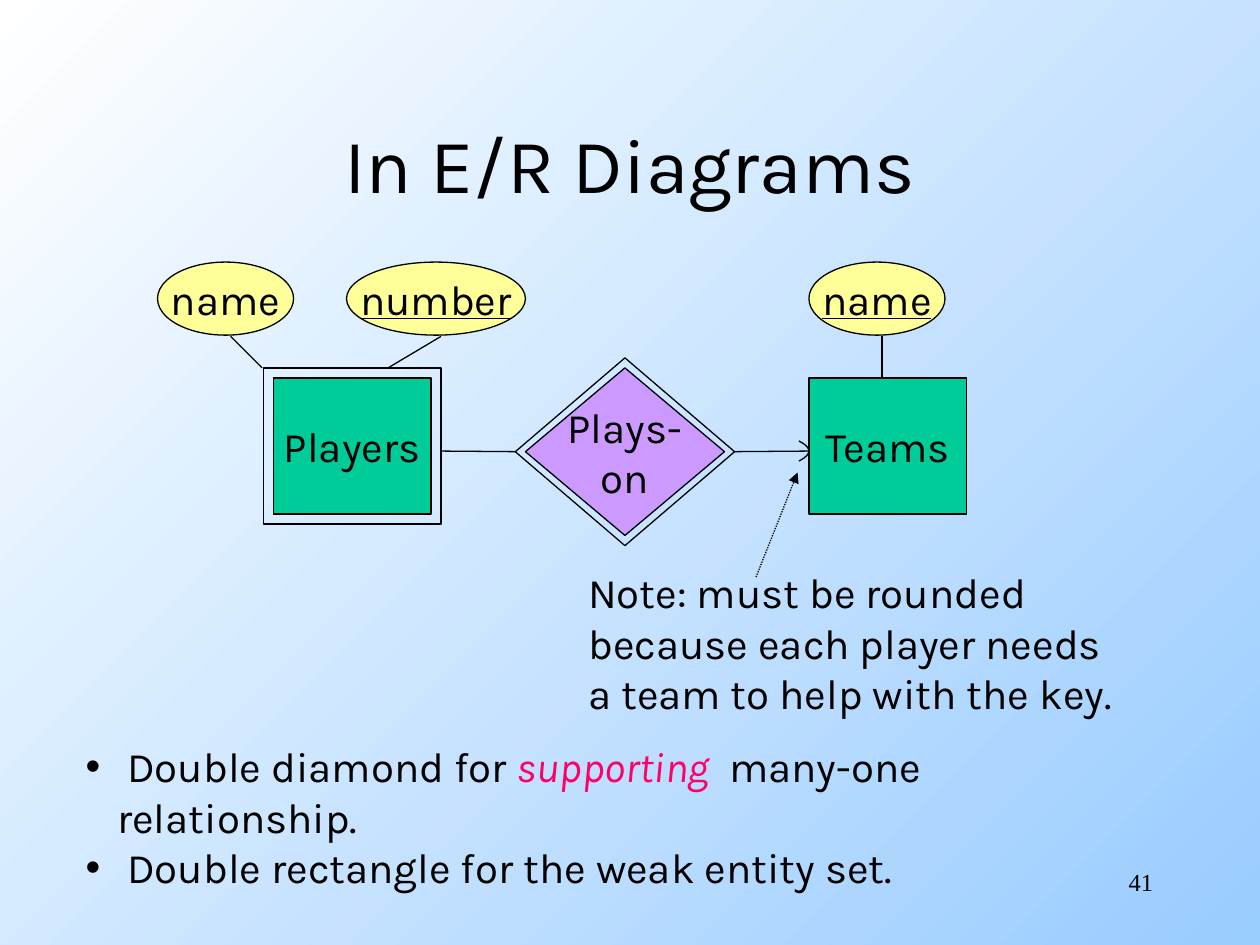
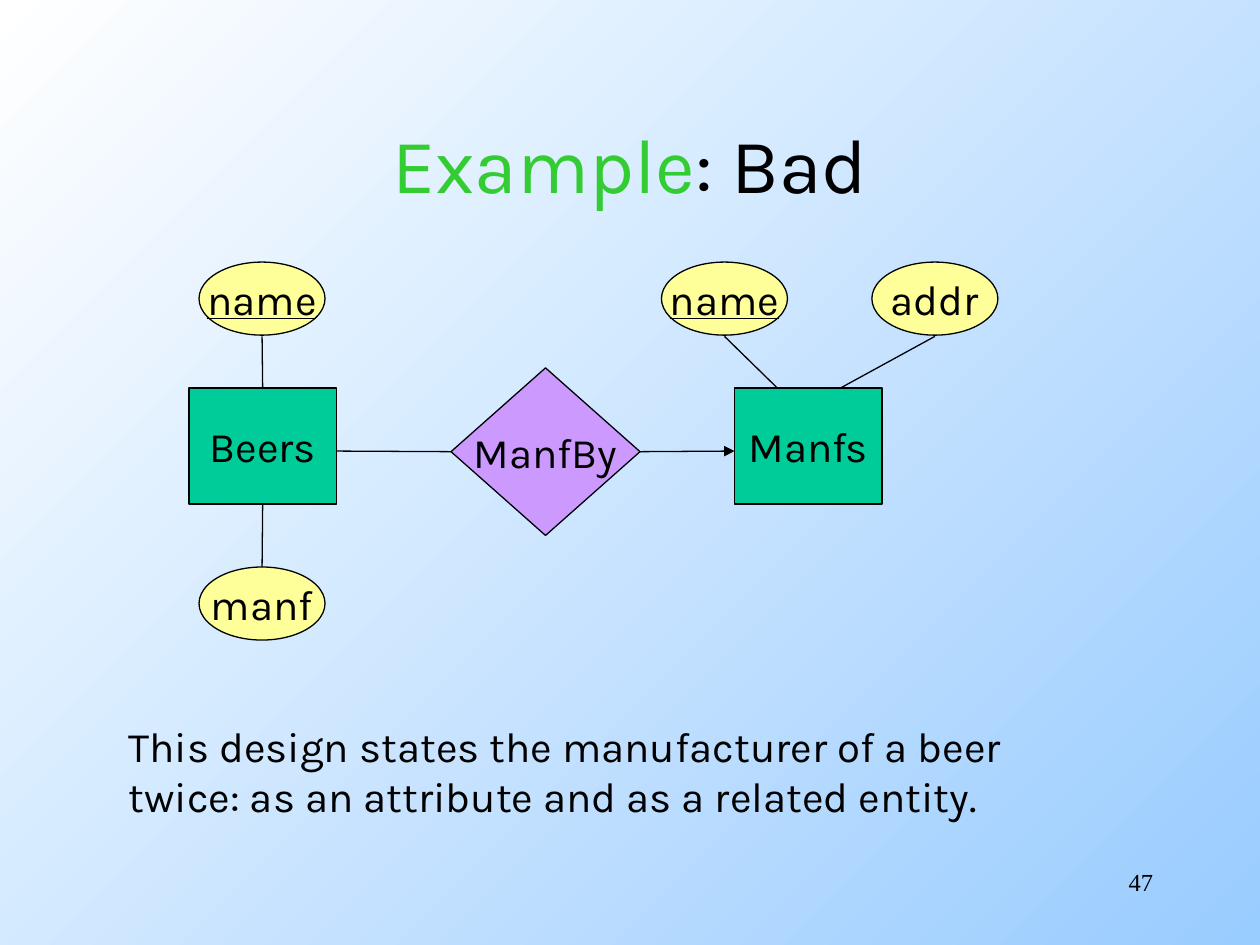
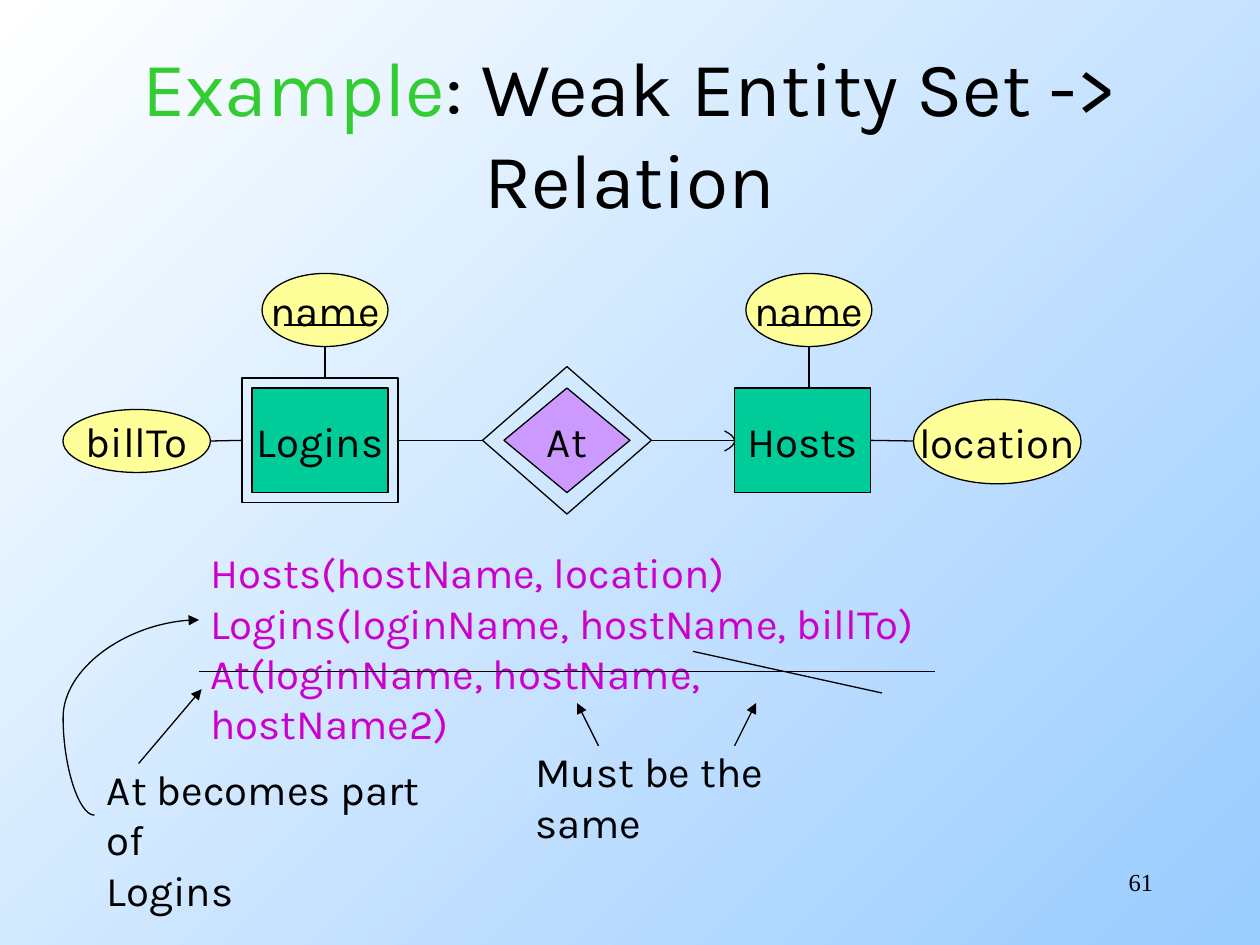
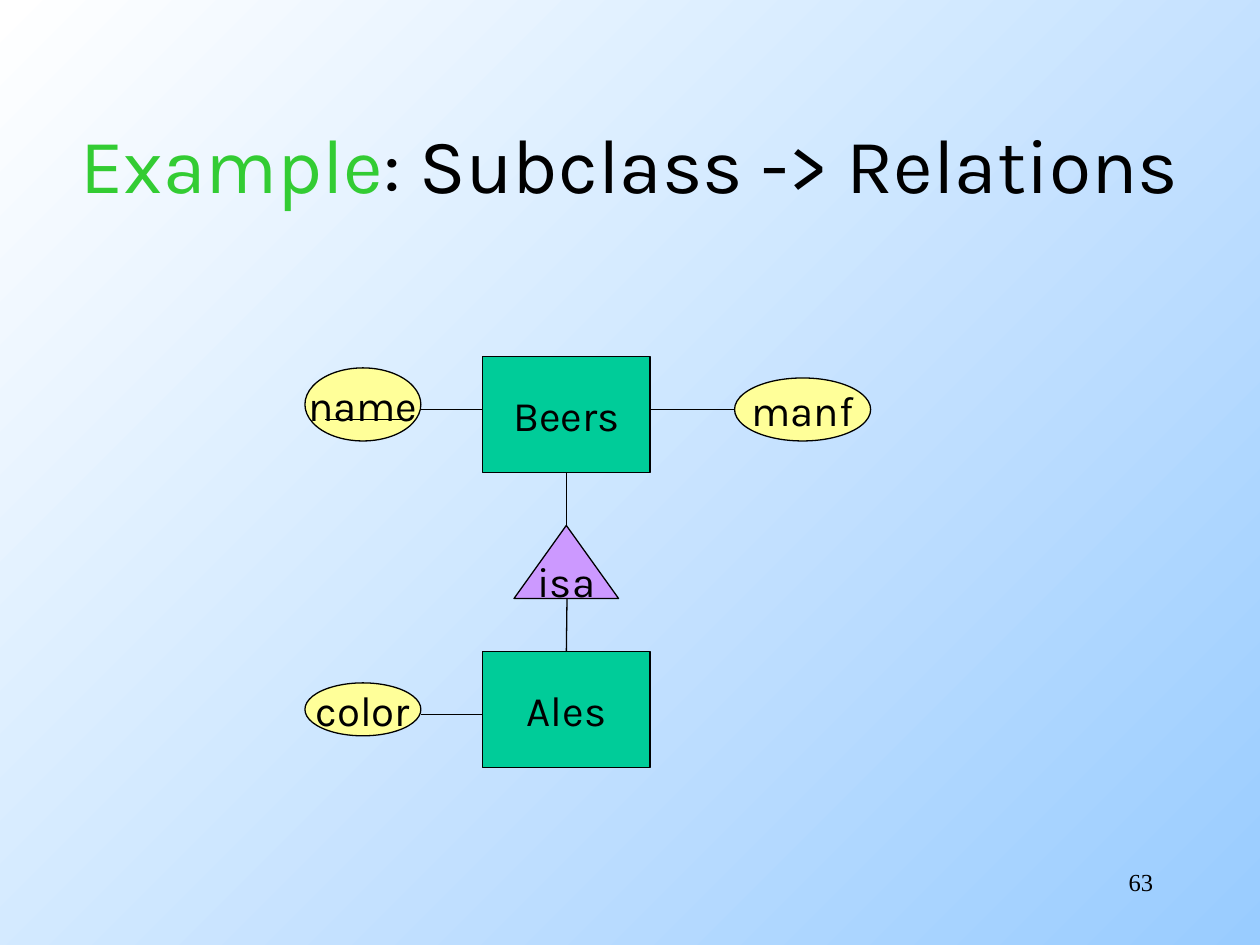
from dataclasses import dataclass

from lxml import etree
from pptx import Presentation
from pptx import util as u
from pptx.dml.color import RGBColor
from pptx.enum import dml, shapes, text
from pptx.oxml.ns import qn


@dataclass(frozen=True)
class Theme:
    ink: str = "000000"
    entity: str = "00CC99"
    relationship: str = "CC99FF"
    attribute: str = "FFFF99"
    example: str = "33CC33"
    emphasis: str = "FF0066"
    schema: str = "CC00CC"
    background_start: str = "FFFFFF"
    background_end: str = "99CCFF"
    font: str = "Karla"
    number_font: str = "Times New Roman"
    title_size: int = 44
    text_size: int = 24
    number_size: int = 14
    line_width: float = 0.75


THEME = Theme()
EXAMPLE = ("Example", {"color": THEME.example})
TOP, LEFT, BOTTOM, RIGHT = range(4)
LAYOUT_LIST, LAYOUT_TITLE_ONLY = 1, 5
PRESET = shapes.MSO_SHAPE
ALIGN = text.PP_ALIGN


def rgb(color):
    return RGBColor.from_string(color)


def add_bullet(paragraph, indent=0.25):
    properties = paragraph._p.get_or_add_pPr()
    properties.set("marL", str(u.Inches(indent)))
    properties.set("indent", str(-u.Inches(indent)))
    etree.SubElement(properties, qn("a:buChar"), char="•")


def write(frame, lines, *, size=THEME.text_size, font=THEME.font, color=THEME.ink,
          align=ALIGN.LEFT, anchor=text.MSO_ANCHOR.TOP, wrap=True,
          underline=False, bullets=False):
    frame.auto_size = text.MSO_AUTO_SIZE.NONE
    frame.word_wrap = wrap
    frame.vertical_anchor = anchor
    for index, line in enumerate(lines):
        paragraph = frame.add_paragraph() if index else frame.paragraphs[0]
        paragraph.alignment = align
        paragraph.space_before = u.Pt(0)
        if bullets:
            add_bullet(paragraph)
        for piece in [line] if isinstance(line, str) else line:
            words, changes = (piece, {}) if isinstance(piece, str) else piece
            run = paragraph.add_run()
            run.text = words
            run.font.name = font
            run.font.size = u.Pt(size)
            run.font.underline = underline
            run.font.italic = changes.get("italic", False)
            run.font.color.rgb = rgb(changes.get("color", color))


def place(shape, left, top, width, height):
    shape.left, shape.top = u.Inches(left), u.Inches(top)
    shape.width, shape.height = u.Inches(width), u.Inches(height)


def style_outline(shape):
    shape.line.color.rgb = rgb(THEME.ink)
    shape.line.width = u.Pt(THEME.line_width)


class Region:
    def __init__(self, slide, left, top):
        self.slide, self.left, self.top = slide, left, top

    def point(self, x, y):
        return u.Inches(self.left + x), u.Inches(self.top + y)

    def text(self, lines, left, top, width, height, **formats):
        box = self.slide.shapes.add_textbox(
            *self.point(left, top), u.Inches(width), u.Inches(height))
        write(box.text_frame, lines, **formats)

    def node(self, preset, fill, lines, left, top, width, height, underline=False):
        shape = self.slide.shapes.add_shape(
            preset, *self.point(left, top), u.Inches(width), u.Inches(height))
        shape.shadow.inherit = False
        style_outline(shape)
        if fill:
            shape.fill.solid()
            shape.fill.fore_color.rgb = rgb(fill)
            write(shape.text_frame, lines, align=ALIGN.CENTER, wrap=False,
                  anchor=text.MSO_ANCHOR.MIDDLE, underline=underline)
        else:
            shape.fill.background()
        return shape

    def border(self, preset, left, top, width, height, gap):
        return self.node(preset, None, [], left - gap, top - gap,
                         width + 2 * gap, height + 2 * gap)

    def entity(self, name, *box):
        return self.node(PRESET.RECTANGLE, THEME.entity, [name], *box)

    def weak_entity(self, name, *box):
        self.entity(name, *box)
        return self.border(PRESET.RECTANGLE, *box, gap=0.08)

    def relationship(self, lines, *box):
        return self.node(PRESET.DIAMOND, THEME.relationship, lines, *box)

    def supporting_relationship(self, lines, *box, gap):
        self.relationship(lines, *box)
        return self.border(PRESET.DIAMOND, *box, gap=gap)

    def attribute(self, name, left, top, width=1, height=0.58, key=False):
        return self.node(PRESET.OVAL, THEME.attribute, [name],
                         left, top, width, height, underline=key)

    def line(self, begin, end, arrow=False, dotted=False, kind=shapes.MSO_CONNECTOR.STRAIGHT):
        joined = [not isinstance(place_[0], (int, float)) for place_ in (begin, end)]
        begin_point = (0, 0) if joined[0] else self.point(*begin)
        end_point = (0, 0) if joined[1] else self.point(*end)
        connector = self.slide.shapes.add_connector(kind, *begin_point, *end_point)
        if joined[0]:
            connector.begin_connect(*begin)
        if joined[1]:
            connector.end_connect(*end)
        style_outline(connector)
        if dotted:
            connector.line.dash_style = dml.MSO_LINE.ROUND_DOT
        if arrow:
            etree.SubElement(connector.line._get_or_add_ln(), qn("a:tailEnd"), type="triangle")
        etree.SubElement(connector._element.spPr, qn("a:effectLst"))
        return connector

    def curve(self, begin, end, bend):
        connector = self.line(begin, end, arrow=True, kind=shapes.MSO_CONNECTOR.CURVE)
        geometry = connector._element.spPr.find(qn("a:prstGeom"))
        guides = geometry.find(qn("a:avLst"))
        if guides is None:
            guides = etree.SubElement(geometry, qn("a:avLst"))
        etree.SubElement(guides, qn("a:gd"), name="adj1", fmla=f"val {round(bend * 100000)}")

    def rounded_tip(self, x, y, depth=0.08, half_height=0.08, steps=8):
        turns = [2 * step / steps - 1 for step in range(steps + 1)]
        points = [self.point(x - depth * t * t, y + half_height * t) for t in turns]
        builder = self.slide.shapes.build_freeform(*points[0])
        builder.add_line_segments(points[1:], close=False)
        shape = builder.convert_to_shape()
        shape.shadow.inherit = False
        shape.fill.background()
        style_outline(shape)


def set_background(presentation):
    fill = presentation.slide_master.background.fill
    fill.gradient()
    fill.gradient_angle = 315
    for stop, color in zip(fill.gradient_stops, (THEME.background_start, THEME.background_end)):
        stop.color.rgb = rgb(color)


def add_slide(presentation, title, number, title_box=(0.75, 0.67, 8.5, 1.25),
              layout=LAYOUT_TITLE_ONLY):
    slide = presentation.slides.add_slide(presentation.slide_layouts[layout])
    place(slide.shapes.title, *title_box)
    write(slide.shapes.title.text_frame, [title], size=THEME.title_size,
          align=ALIGN.CENTER, anchor=text.MSO_ANCHOR.MIDDLE)
    Region(slide, 7.17, 6.83).text([str(number)], 0, 0, 2.08, 0.5, align=ALIGN.RIGHT,
                                   size=THEME.number_size, font=THEME.number_font)
    return slide


def draw_players_diagram(region):
    region.attribute("name", 0, 0, 1.08)
    region.attribute("number", 1.5, 0, 1.42, key=True)
    region.attribute("name", 5.17, 0, 1.08, key=True)
    region.weak_entity("Players", 0.92, 0.92, 1.25, 1.08)
    region.entity("Teams", 5.17, 0.92, 1.25, 1.08)
    plays_on = region.supporting_relationship(["Plays-", "on"], 2.92, 0.84, 1.58, 1.33, gap=0.08)
    region.line((0.58, 0.59), (0.83, 0.84))
    region.line((2.25, 0.59), (1.83, 0.84))
    region.line((5.75, 0.59), (5.75, 0.92))
    region.line((2.25, 1.5), (plays_on, LEFT))
    region.line((plays_on, RIGHT), (5.17, 1.5))
    region.rounded_tip(5.17, 1.5)


def draw_rounding_note(region):
    region.text(["Note: must be rounded", "because each player needs",
                 "a team to help with the key."], 0, 0, 4.36, 1.3)
    region.line((1.43, 0.13), (1.76, -0.7), arrow=True, dotted=True)


def build_er_diagrams(presentation):
    slide = add_slide(presentation, "In E/R Diagrams", 41, layout=LAYOUT_LIST)
    draw_players_diagram(Region(slide, 1.25, 2.08))
    draw_rounding_note(Region(slide, 4.57, 4.45))
    body = slide.placeholders[1]
    place(body, 0.58, 5.83, 8.61, 0.9)
    supporting = ("supporting", {"color": THEME.emphasis, "italic": True})
    write(body.text_frame, [
        [" Double diamond for ", supporting, "  many-one relationship."],
        " Double rectangle for the weak entity set.",
    ], bullets=True)


def draw_manufacturer_diagram(region):
    beers = region.entity("Beers", 0, 1, 1.17, 0.92)
    region.entity("Manfs", 4.33, 1, 1.17, 0.92)
    made_by = region.relationship(["ManfBy"], 2.08, 0.84, 1.5, 1.33)
    region.attribute("name", 0.08, 0, key=True)
    region.attribute("manf", 0.08, 2.42)
    region.attribute("name", 3.75, 0, key=True)
    region.attribute("addr", 5.42, 0)
    region.line((0.58, 0.59), (beers, TOP))
    region.line((beers, BOTTOM), (0.58, 2.42))
    region.line((4.25, 0.59), (4.67, 1))
    region.line((5.92, 0.59), (5.17, 1))
    region.line((1.17, 1.5), (made_by, LEFT))
    region.line((made_by, RIGHT), (4.33, 1.5), arrow=True)


def build_bad_example(presentation):
    slide = add_slide(presentation, [EXAMPLE, ": Bad"], 47)
    draw_manufacturer_diagram(Region(slide, 1.5, 2.08))
    Region(slide, 0.92, 5.67).text(
        ["This design states the manufacturer of a beer twice: "
         "as an attribute and as a related entity."], 0, 0, 7.52, 0.9)


def draw_logins_diagram(region):
    logins = region.weak_entity("Logins", 1.5, 0.91, 1.08, 0.83)
    hosts = region.entity("Hosts", 5.33, 0.91, 1.08, 0.83)
    at = region.supporting_relationship(["At"], 3.5, 0.91, 1, 0.83, gap=0.17)
    for left, entity_top in ((1.58, 0.83), (5.42, 0.91)):
        region.attribute("name", left, 0)
        region.line((left + 0.17, 0.41), (left + 0.83, 0.41))
        region.line((left + 0.5, 0.58), (left + 0.5, entity_top))
    region.attribute("billTo", 0, 1.08, 1.17, 0.5)
    region.attribute("location", 6.75, 1, 1.33, 0.67)
    region.line((1.17, 1.33), (logins, LEFT))
    region.line((logins, RIGHT), (at, LEFT))
    region.line((at, RIGHT), (hosts, LEFT))
    region.line((hosts, RIGHT), (6.75, 1.33))
    region.rounded_tip(5.33, 1.33)


def draw_relations(region):
    region.text(["Hosts(hostName, location)", "Logins(loginName, hostName, billTo)",
                 "At(loginName, hostName, hostName2)"],
                1.07, 0, 5.88, 1.3, color=THEME.schema)
    region.line((5, 0.88), (6.5, 1.21))
    region.line((1.08, 1.04), (6.92, 1.04))
    region.text(["Must be the same"], 3.65, 1.58, 2.83, 0.5)
    region.line((4.25, 1.63), (4.08, 1.29), arrow=True)
    region.line((5.33, 1.63), (5.5, 1.29), arrow=True)
    region.text(["At becomes part of", "Logins"], 0.25, 1.72, 2.95, 0.9)
    region.line((0.6, 1.77), (1.1, 1.18), arrow=True)
    region.curve((0.25, 2.18), (1.08, 0.63), bend=-0.3)


def build_weak_entity_example(presentation):
    slide = add_slide(presentation, [EXAMPLE, ": Weak Entity Set -> Relation"], 61,
                      title_box=(0, 0.42, 10, 1.25))
    draw_logins_diagram(Region(slide, 0.5, 2.17))
    draw_relations(Region(slide, 0.5, 4.29))


def draw_subclass_diagram(region):
    beers = region.entity("Beers", 1.41, 0, 1.33, 0.92)
    ales = region.entity("Ales", 1.41, 2.34, 1.33, 0.92)
    isa = region.node(PRESET.ISOSCELES_TRIANGLE, THEME.relationship, ["isa"],
                      1.66, 1.34, 0.83, 0.58)
    region.attribute("name", 0, 0.09, 0.92)
    region.attribute("manf", 3.41, 0.17, 1.08, 0.5)
    region.attribute("color", 0, 2.59, 0.92, 0.42)
    region.line((0.16, 0.5), (0.83, 0.5))
    region.line((0.92, 0.42), (1.41, 0.42))
    region.line((2.74, 0.42), (3.41, 0.42))
    region.line((beers, BOTTOM), (isa, TOP))
    region.line((2.08, 1.92), (ales, TOP))
    region.line((0.92, 2.84), (1.41, 2.84))


def build_subclass_example(presentation):
    slide = add_slide(presentation, [EXAMPLE, ": Subclass -> Relations"], 63,
                      title_box=(0, 0.67, 10, 1.25))
    draw_subclass_diagram(Region(slide, 2.42, 2.83))


def main():
    presentation = Presentation()
    presentation.slide_width = u.Inches(10)
    presentation.slide_height = u.Inches(7.5)
    set_background(presentation)
    build_er_diagrams(presentation)
    build_bad_example(presentation)
    build_weak_entity_example(presentation)
    build_subclass_example(presentation)
    presentation.save("out.pptx")


if __name__ == "__main__":
    main()
